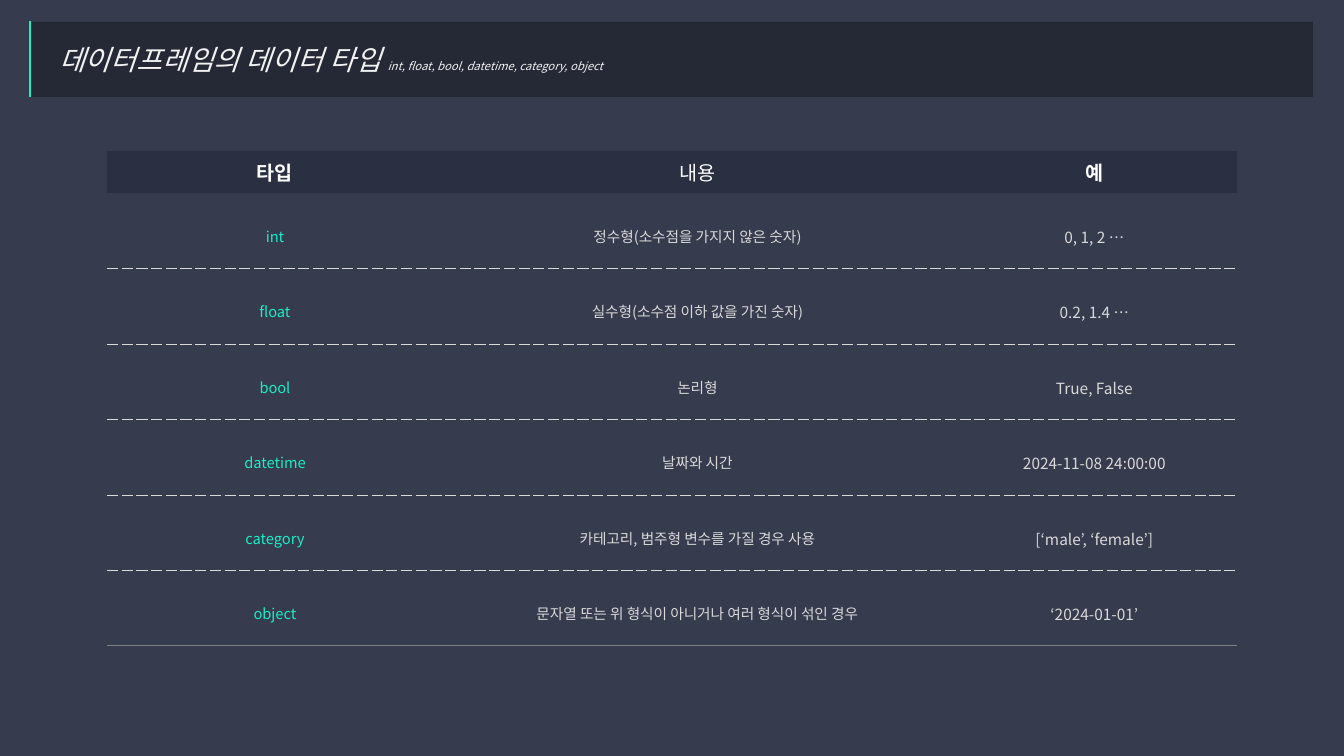
from lxml.etree import SubElement as Sub
from pptx import Presentation
from pptx.dml.color import RGBColor as RGB
from pptx.enum.shapes import MSO_CONNECTOR as Conn
from pptx.enum.text import MSO_ANCHOR as Anchor, MSO_AUTO_SIZE as Auto, PP_ALIGN as Align
from pptx.oxml import parse_xml
from pptx.oxml.ns import nsdecls, qn
from pptx.util import Pt

FONT = "Noto Sans CJK KR"
TITLE = [("데이터프레임의 데이터 타입 ", 20),
         ("int, float, bool, datetime, category, object", 8)]
HEADS = ["타입", "내용", "예"]
TYPES = [
    ("int", "정수형(소수점을 가지지 않은 숫자)", "0, 1, 2 …"),
    ("float", "실수형(소수점 이하 값을 가진 숫자)", "0.2, 1.4 …"),
    ("bool", "논리형", "True, False"),
    ("datetime", "날짜와 시간", "2024-11-08 24:00:00"),
    ("category", "카테고리, 범주형 변수를 가질 경우 사용", "[‘male’, ‘female’]"),
    ("object", "문자열 또는 위 형식이 아니거나 여러 형식이 섞인 경우", "‘2024-01-01’"),
]
LOOKS = [(10.5, "1BEDC6"), (10.5, "D9D9D9"), (11, "D9D9D9")]
COLS = [336, 509, 285]
LEFT, TOP, HEAD, BODY = 107, 151, 42, 453
BAR = (30, 22, 1283, 75)
NO_GRID = "{2D5ABB26-0587-4C30-8999-92F81FD0307C}"


def px(n):
    return round(n * 914400 / 100.8)


def color(code):
    return RGB.from_string(code)


def paint(fill, code):
    fill.solid()
    fill.fore_color.rgb = color(code)


def style(font, code, size=None, bold=False, italic=False):
    font.name, font.bold, font.italic = FONT, bold, italic
    font.color.rgb = color(code)
    if size:
        font.size = Pt(size)
    Sub(font._element, qn("a:ea")).set("typeface", FONT)


def rule(cell, code, width, dash):
    cell._tc.get_or_add_tcPr().insert(0, parse_xml(
        f'<a:lnB {nsdecls("a")} w="{Pt(width)}"><a:solidFill><a:srgbClr val="{code}"/>'
        f'</a:solidFill><a:prstDash val="{dash}"/></a:lnB>'))


def add_title(slide):
    bar = slide.shapes.title
    bar.left, bar.top, bar.width, bar.height = map(px, BAR)
    paint(bar.fill, "000000")
    tint = bar.fill._xPr.find(".//" + qn("a:srgbClr"))
    Sub(tint, qn("a:alpha")).set("val", "30000")
    frame = bar.text_frame
    frame.auto_size, frame.vertical_anchor = Auto.NONE, Anchor.MIDDLE
    para = frame.paragraphs[0]
    para.alignment = Align.LEFT
    para._p.get_or_add_pPr().set("marL", str(px(19)))
    style(para.font, "F2F2F2", italic=True)
    for text, size in TITLE:
        run = para.add_run()
        run.text, run.font.size = text, Pt(size)
    x, y, _, h = BAR
    edge = slide.shapes.add_connector(Conn.STRAIGHT, px(x), px(y + h), px(x), px(y - 1))
    edge.line.color.rgb, edge.line.width = color("1BEDC6"), Pt(1)
    Sub(edge._element.spPr, qn("a:effectLst"))


def add_types(slide):
    rows = [HEADS] + TYPES
    table = slide.shapes.add_table(len(rows), len(COLS), px(LEFT), px(TOP),
                                   px(sum(COLS)), px(HEAD + BODY)).table
    table.first_row = table.horz_banding = False
    table._tbl.tblPr.find(qn("a:tableStyleId")).text = NO_GRID
    for col, width in zip(table.columns, COLS):
        col.width = px(width)
    for r, texts in enumerate(rows):
        table.rows[r].height = px(BODY / len(TYPES) if r else HEAD)
        for c, text in enumerate(texts):
            cell = table.cell(r, c)
            cell.text, cell.vertical_anchor = text, Anchor.MIDDLE
            para = cell.text_frame.paragraphs[0]
            para.alignment = Align.CENTER
            if r == 0:
                paint(cell.fill, "2A2F42")
                style(para.font, "FFFFFF", 14, bold=c != 1)
                continue
            cell.fill.background()
            para.line_spacing = 1.5
            size, code = LOOKS[c]
            style(para.font, code, size)
            if r < len(TYPES):
                rule(cell, "D9D9D9", 0.5, "sysDash")
            else:
                rule(cell, "808080", 1, "solid")


def main():
    """Build the slide on dataframe data types."""
    deck = Presentation()
    deck.slide_width, deck.slide_height = px(1344), px(756)
    slide = deck.slides.add_slide(deck.slide_layouts[5])
    paint(slide.background.fill, "363B4E")
    add_title(slide)
    add_types(slide)
    deck.save("out.pptx")


if __name__ == "__main__":
    main()
